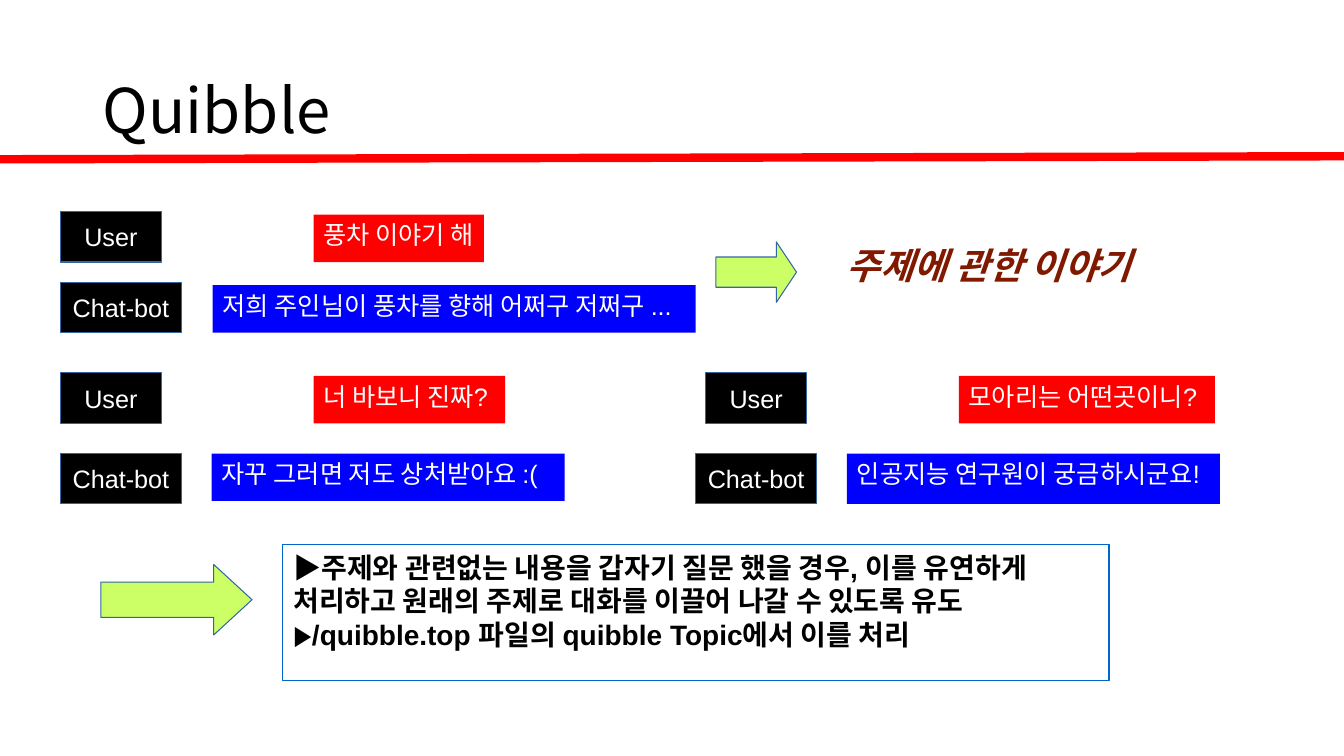
from lxml.etree import SubElement
from pptx import Presentation
from pptx.dml.color import RGBColor
from pptx.enum.shapes import MSO_CONNECTOR as Connector, MSO_SHAPE as Shape
from pptx.enum.text import MSO_ANCHOR as Anchor, PP_ALIGN as Align
from pptx.oxml.ns import qn
from pptx.util import Pt

PX = 9144  # 100 px to the inch
BLACK = RGBColor(0, 0, 0)
WHITE = RGBColor(255, 255, 255)
RED = RGBColor(255, 0, 0)
BLUE = RGBColor(0, 0, 255)
LIME = RGBColor(0xCC, 0xFF, 0x66)
BROWN = RGBColor(0x80, 0x19, 0x00)
OUTLINE = RGBColor(0x34, 0x65, 0xA4)
FRAME = RGBColor(0x00, 0x66, 0xCC)
LATIN, KOREAN = "Arial", "Noto Sans CJK KR"


def px(*lengths):
    return [length * PX for length in lengths]


def write(shape, *lines, size=18, color=WHITE, font=LATIN, bold=False, italic=False,
          align=Align.LEFT, anchor=Anchor.TOP, wrap=True, inset=(10, 5), spacing=None):
    frame = shape.text_frame
    frame.word_wrap = wrap
    frame.vertical_anchor = anchor
    frame.margin_left = frame.margin_right = inset[0] * PX
    frame.margin_top = frame.margin_bottom = inset[1] * PX
    for index, line in enumerate(lines):
        para = frame.add_paragraph() if index else frame.paragraphs[0]
        para.alignment = align
        para.line_spacing = spacing
        span = para.add_run()
        span.text = line
        span.font.size = Pt(size)
        span.font.name = font
        span.font.bold, span.font.italic = bold, italic
        span.font.color.rgb = color
        SubElement(span.font._element, qn("a:ea"), typeface=KOREAN)


class QuibblePage:
    def __init__(self, deck):
        self.page = deck.slides.add_slide(deck.slide_layouts[5])

    def title(self, text, left, top, width, height):
        title = self.page.shapes.title
        title.left, title.top, title.width, title.height = px(left, top, width, height)
        write(title, text, size=44, color=BLACK, font=KOREAN, anchor=Anchor.MIDDLE, spacing=0.9)

    def rule(self, *ends):
        rule = self.page.shapes.add_connector(Connector.STRAIGHT, *px(*ends))
        rule.line.color.rgb = RED
        rule.line.width = Pt(6)
        SubElement(rule._element.spPr, qn("a:effectLst"))

    def shape(self, kind, *place, fill=None, line=None, weight=0.75):
        shape = self.page.shapes.add_shape(kind, *px(*place))
        shape.shadow.inherit = False
        if fill is None:
            shape.fill.background()
        else:
            shape.fill.solid()
            shape.fill.fore_color.rgb = fill
        if line is None:
            shape.line.fill.background()
        else:
            shape.line.color.rgb = line
            shape.line.width = Pt(weight)
        return shape

    def speaker(self, name, *place):
        box = self.shape(Shape.RECTANGLE, *place, fill=BLACK, line=OUTLINE)
        write(box, name, align=Align.CENTER, anchor=Anchor.MIDDLE, wrap=False)

    def speech(self, text, *place, fill):
        write(self.shape(Shape.RECTANGLE, *place, fill=fill), text)

    def arrow(self, *place, head):
        """Draw a right arrow whose head is `head` px long."""
        arrow = self.shape(Shape.RIGHT_ARROW, *place, fill=LIME, line=OUTLINE)
        arrow.adjustments[0] = 0.5
        arrow.adjustments[1] = head / place[3]

    def framed(self, *lines, place):
        box = self.shape(Shape.RECTANGLE, *place, line=FRAME, weight=1)
        write(box, *lines, size=20, color=BLACK, bold=True, inset=(11, 6))

    def label(self, text, *place):
        box = self.page.shapes.add_textbox(*px(*place))
        write(box, text, size=26, color=BROWN, bold=True, italic=True)


# user left and top, question, its width, bot left and top, answer place, answer
DIALOGUES = [
    (60, 210, "풍차 이야기 해", 169, 60, 280, (211, 283, 479, 47),
     "저희 주인님이 풍차를 향해 어쩌구 저쩌구 ..."),
    (60, 370, "너 바보니 진짜?", 190, 60, 450, (210, 450, 350, 47),
     "자꾸 그러면 저도 상처받아요 :("),
    (700, 370, "모아리는 어떤곳이니?", 254, 690, 450, (840, 450, 370, 50),
     "인공지능 연구원이 궁금하시군요!"),
]


def main():
    deck = Presentation()
    deck.slide_width, deck.slide_height = px(1333, 750)
    page = QuibblePage(deck)
    page.title("Quibble", 92, 40, 1150, 145)
    page.rule(0, 158, 1333, 155)
    for left, top, question, width, bot_left, bot_top, place, answer in DIALOGUES:
        page.speaker("User", left, top, 100, 50)
        page.speech(question, left + 251, top + 3, width, 47, fill=RED)
        page.speaker("Chat-bot", bot_left, bot_top, 120, 50)
        page.speech(answer, *place, fill=BLUE)
    page.arrow(100, 560, 150, 70, head=38)
    page.framed(
        "▶주제와 관련없는 내용을 갑자기 질문 했을 경우, 이를 유연하게 "
        "처리하고 원래의 주제로 대화를 이끌어 나갈 수 있도록 유도",
        "▶/quibble.top 파일의 quibble Topic에서 이를 처리",
        place=(280, 540, 820, 135))
    page.arrow(710, 240, 80, 60, head=20)
    page.label("주제에 관한 이야기", 830, 236, 318, 64)
    deck.save("out.pptx")


if __name__ == "__main__":
    main()
